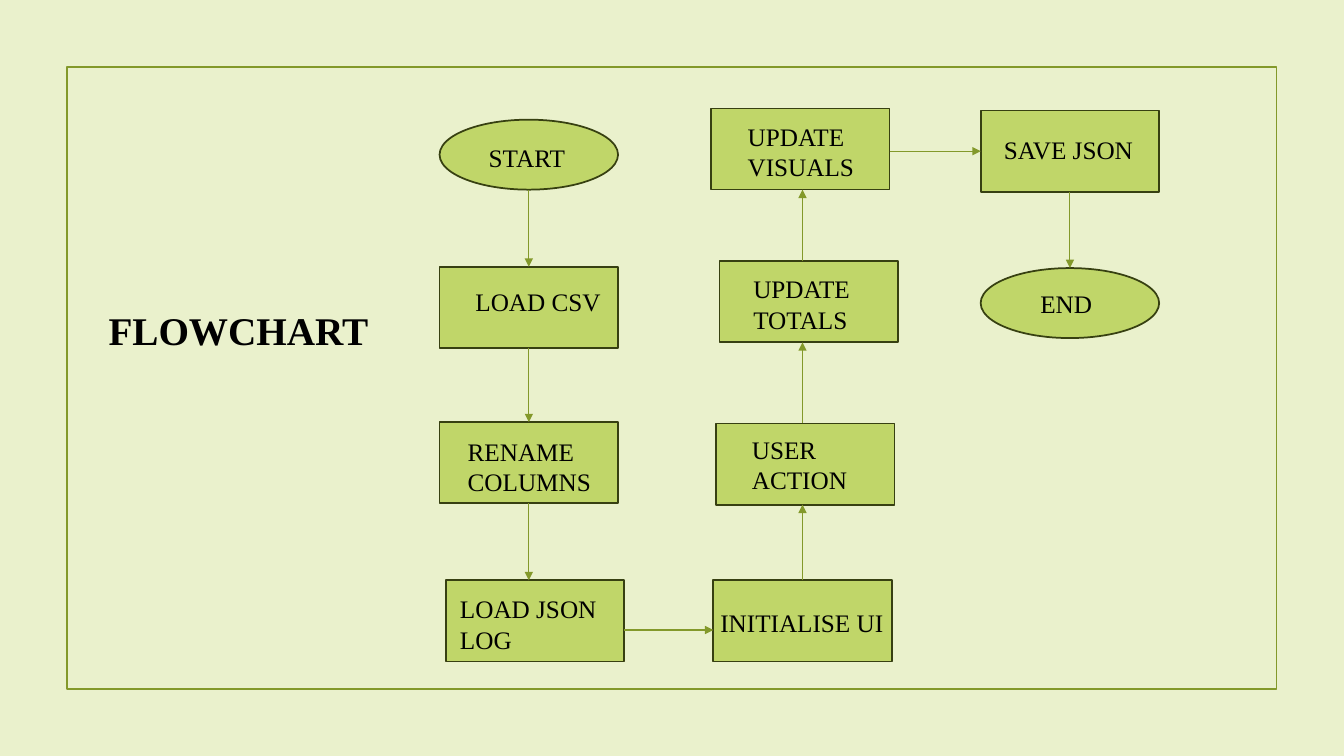
from collections import namedtuple

from lxml.etree import SubElement
from pptx import Presentation
from pptx.dml.color import RGBColor
from pptx.enum.shapes import MSO_CONNECTOR, MSO_SHAPE
from pptx.enum.text import MSO_AUTO_SIZE
from pptx.oxml.ns import qn
from pptx.util import Pt

CREAM = RGBColor(0xEA, 0xF1, 0xCC)
LIME = RGBColor(0xC0, 0xD6, 0x69)
OLIVE = RGBColor(0x83, 0x99, 0x2A)
DARK_OLIVE = RGBColor(0x37, 0x40, 0x11)
BLACK = RGBColor(0, 0, 0)

BOX, OVAL = MSO_SHAPE.RECTANGLE, MSO_SHAPE.OVAL
STEP_WIDTH = 127.5
STEP_HEIGHTS = {BOX: 58, OVAL: 50}
LABEL_HEIGHTS = {1: 29, 2: 51}
TOP, LEFT, BOTTOM, RIGHT = range(4)

Label = namedtuple("Label", "indent drop width lines")
Step = namedtuple("Step", "name kind left top label")
Flow = namedtuple("Flow", "source exit_side target entry_side lane")

STEPS = [
    Step("START", OVAL, 314, 85.5, Label(28, 12.5, 79, 1)),
    Step("LOAD CSV", BOX, 314, 190.5, Label(18.5, 10.5, 109, 1)),
    Step("RENAME COLUMNS", BOX, 314, 301.5, Label(13, 6.5, 116, 2)),
    Step("LOAD JSON LOG", BOX, 318.5, 414.5, Label(3, 6, 124.5, 2)),
    Step("INITIALISE UI", BOX, 509.5, 414.5, Label(-2, 16, 133, 1)),
    Step("USER ACTION", BOX, 511.5, 302.5, Label(18.5, 4, 124.5, 2)),
    Step("UPDATE TOTALS", BOX, 514, 186.5, Label(17, 5.5, 130.5, 2)),
    Step("UPDATE VISUALS", BOX, 508, 77.5, Label(19, 5.5, 108, 2)),
    Step("SAVE JSON", BOX, 700.5, 79, Label(9.5, 13.5, 121, 1)),
    Step("END", OVAL, 700.5, 191.5, Label(35.5, 11, 79, 1)),
]

LOAD_LANE, UPDATE_LANE, SAVE_LANE = 377.75, 573.25, 764.25
LOG_LANE, VISUALS_LANE = 450, 108

FLOWS = [
    Flow("START", BOTTOM, "LOAD CSV", TOP, LOAD_LANE),
    Flow("LOAD CSV", BOTTOM, "RENAME COLUMNS", TOP, LOAD_LANE),
    Flow("RENAME COLUMNS", BOTTOM, "LOAD JSON LOG", TOP, LOAD_LANE),
    Flow("LOAD JSON LOG", RIGHT, "INITIALISE UI", LEFT, LOG_LANE),
    Flow("INITIALISE UI", TOP, "USER ACTION", BOTTOM, UPDATE_LANE),
    Flow("USER ACTION", TOP, "UPDATE TOTALS", BOTTOM, UPDATE_LANE),
    Flow("UPDATE TOTALS", TOP, "UPDATE VISUALS", BOTTOM, UPDATE_LANE),
    Flow("UPDATE VISUALS", RIGHT, "SAVE JSON", LEFT, VISUALS_LANE),
    Flow("SAVE JSON", BOTTOM, "END", TOP, SAVE_LANE),
]


def side_middle(step, side):
    height = STEP_HEIGHTS[step.kind]
    center, middle = step.left + STEP_WIDTH / 2, step.top + height / 2
    return {
        TOP: (center, step.top),
        LEFT: (step.left, middle),
        BOTTOM: (center, step.top + height),
        RIGHT: (step.left + STEP_WIDTH, middle),
    }[side]


def lane_point(step, side, lane):
    x, y = side_middle(step, side)
    return (lane, y) if side in (TOP, BOTTOM) else (x, lane)


class FlowchartSlide:
    font = "Times New Roman"
    outline_width = 1.25
    flow_width = 0.75

    def __init__(self, slide):
        self.slide = slide
        self.step_shapes = {}
        background = slide.background.fill
        background.solid()
        background.fore_color.rgb = CREAM

    def outline(self, kind, left, top, width, height, color):
        shape = self.slide.shapes.add_shape(
            kind, Pt(left), Pt(top), Pt(width), Pt(height))
        shape.shadow.inherit = False
        shape.fill.background()
        shape.line.color.rgb = color
        shape.line.width = Pt(self.outline_width)
        return shape

    def step(self, step):
        shape = self.outline(step.kind, step.left, step.top, STEP_WIDTH,
                             STEP_HEIGHTS[step.kind], DARK_OLIVE)
        shape.fill.solid()
        shape.fill.fore_color.rgb = LIME
        self.step_shapes[step.name] = shape

    def flow(self, source, exit_side, target, entry_side, lane):
        start = lane_point(source, exit_side, lane)
        end = lane_point(target, entry_side, lane)
        arrow = self.slide.shapes.add_connector(
            MSO_CONNECTOR.STRAIGHT, *(Pt(length) for length in start + end))
        ends = [
            (arrow.begin_connect, source, exit_side, start),
            (arrow.end_connect, target, entry_side, end),
        ]
        for connect, step, side, point in ends:
            if step.kind == BOX and point == side_middle(step, side):
                connect(self.step_shapes[step.name], side)
        arrow.line.color.rgb = OLIVE
        arrow.line.width = Pt(self.flow_width)
        properties = arrow._element.spPr
        SubElement(properties.find(qn("a:ln")), qn("a:tailEnd"), type="triangle")
        SubElement(properties, qn("a:effectLst"))

    def text(self, content, left, top, width, height, size=18, bold=False):
        box = self.slide.shapes.add_textbox(
            Pt(left), Pt(top), Pt(width), Pt(height))
        frame = box.text_frame
        frame.word_wrap = True
        frame.auto_size = MSO_AUTO_SIZE.SHAPE_TO_FIT_TEXT
        run = frame.paragraphs[0].add_run()
        run.text = content
        run.font.name = self.font
        run.font.size = Pt(size)
        run.font.bold = bold
        run.font.color.rgb = BLACK

    def label(self, step):
        indent, drop, width, lines = step.label
        self.text(step.name, step.left + indent, step.top + drop,
                  width, LABEL_HEIGHTS[lines])


def main():
    deck = Presentation()
    deck.slide_width, deck.slide_height = Pt(960), Pt(540)
    flowchart = FlowchartSlide(deck.slides.add_slide(deck.slide_layouts[6]))

    flowchart.outline(BOX, 47.75, 48, 864, 444, OLIVE)
    for step in STEPS:
        flowchart.step(step)

    steps = {step.name: step for step in STEPS}
    for flow in FLOWS:
        flowchart.flow(steps[flow.source], flow.exit_side,
                       steps[flow.target], flow.entry_side, flow.lane)

    for step in STEPS:
        flowchart.label(step)
    flowchart.text("FLOWCHART", 70.5, 215.5, 230.5, 41, size=28, bold=True)

    deck.save("out.pptx")


if __name__ == "__main__":
    main()
